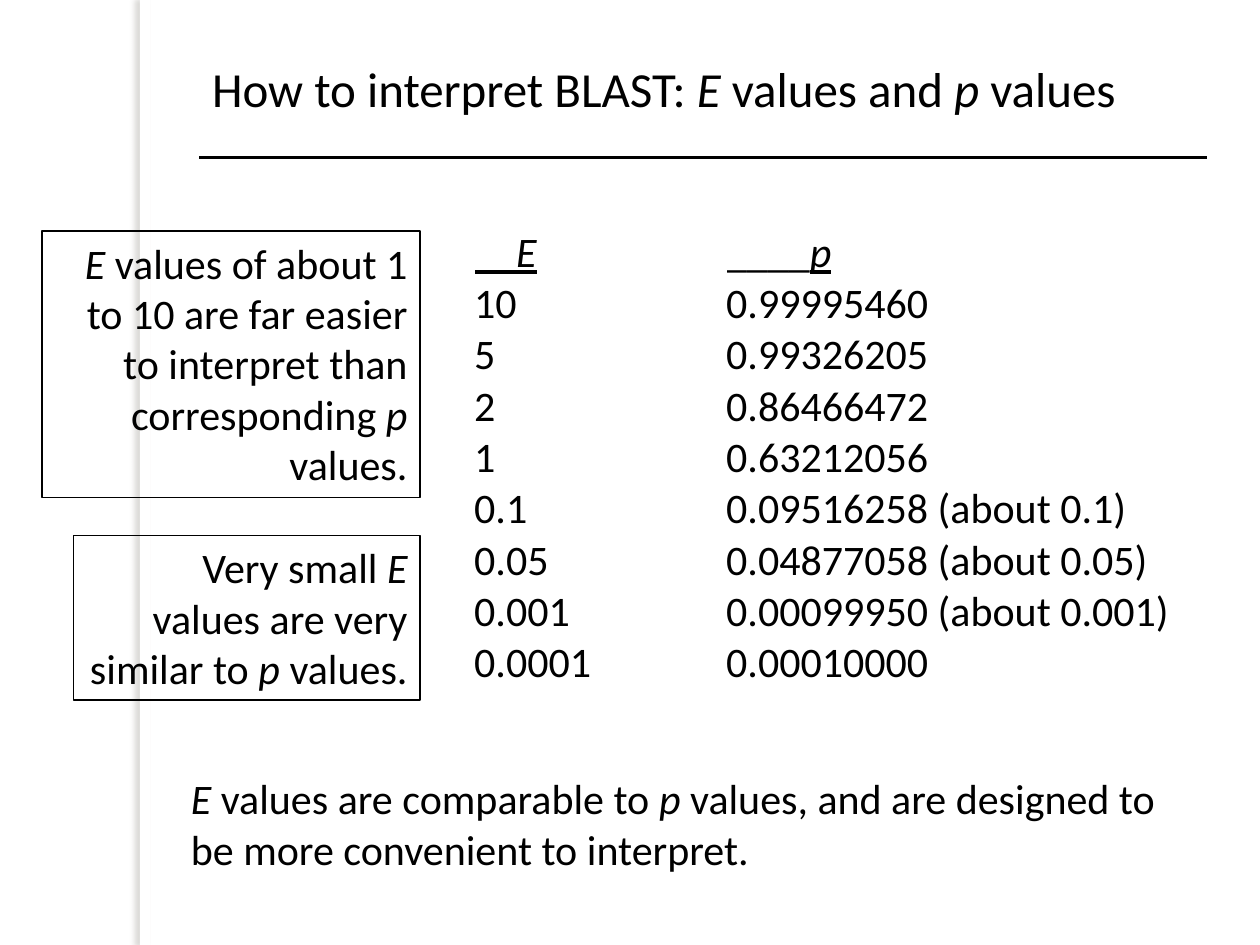
from lxml import etree
from pptx import Presentation
from pptx.dml.color import RGBColor
from pptx.enum.shapes import MSO_CONNECTOR, MSO_SHAPE
from pptx.enum.text import MSO_ANCHOR, PP_ALIGN
from pptx.oxml import parse_xml
from pptx.oxml.ns import nsdecls, qn
from pptx.util import Pt

LEFT, RIGHT = PP_ALIGN.LEFT, PP_ALIGN.RIGHT
TOP, MIDDLE = MSO_ANCHOR.TOP, MSO_ANCHOR.MIDDLE
RECTANGLE, STRAIGHT = MSO_SHAPE.RECTANGLE, MSO_CONNECTOR.STRAIGHT

FONT = "Calibri"
COLORS = {"ink": "000000", "paper": "FFFFFF", "shade": "736F63"}
TITLE_ONLY = 5
TITLE_SIZE, BODY_SIZE = 28, 24
ROW_HEIGHT = 28.8

E_AND_P = [
    ("10", "0.99995460"),
    ("5", "0.99326205"),
    ("2", "0.86466472"),
    ("1", "0.63212056"),
    ("0.1", "0.09516258 (about 0.1)"),
    ("0.05", "0.04877058 (about 0.05)"),
    ("0.001", "0.00099950 (about 0.001)"),
    ("0.0001", "0.00010000"),
]


def color(name):
    return RGBColor.from_string(COLORS[name])


def write(frame, text, size=BODY_SIZE, align=LEFT):
    """Write one paragraph; parts between asterisks are italic."""
    paragraph = frame.paragraphs[0]
    paragraph.alignment = align
    paragraph.font.name = FONT
    paragraph.font.size = Pt(size)
    paragraph.font.color.rgb = color("ink")
    for i, part in enumerate(text.split("*")):
        if part:
            run = paragraph.add_run()
            run.text = part
            if i % 2:
                run.font.italic = True
    return paragraph


def add_side_strip(slide, left, top, width, height):
    """White strip that casts a soft shadow to its left."""
    strip = slide.shapes.add_shape(RECTANGLE, Pt(left), Pt(top), Pt(width), Pt(height))
    strip.fill.solid()
    strip.fill.fore_color.rgb = color("paper")
    strip.line.fill.background()
    strip._element.spPr.append(parse_xml(
        f'<a:effectLst {nsdecls("a")}>'
        f'<a:outerShdw blurRad="{Pt(3)}" dist="{Pt(3)}" dir="10800000" rotWithShape="0">'
        f'<a:srgbClr val="{COLORS["shade"]}"><a:alpha val="25000"/></a:srgbClr>'
        '</a:outerShdw></a:effectLst>'))


def add_heading(slide, text, left, top, width, height):
    """Title with a rule below it."""
    title = slide.shapes.title
    title.left, title.top, title.width, title.height = map(Pt, (left, top, width, height))
    title.text_frame.word_wrap = False
    title.text_frame.vertical_anchor = MIDDLE
    write(title.text_frame, text, TITLE_SIZE)

    rule_top = top + 60
    rule = slide.shapes.add_connector(
        STRAIGHT, Pt(left), Pt(rule_top), Pt(left + 576), Pt(rule_top))
    rule.line.color.rgb = color("ink")
    rule.line.width = Pt(1.5)
    etree.SubElement(rule._element.spPr, qn("a:effectLst"))


def add_value_table(slide, left, top, widths):
    table = slide.shapes.add_table(
        len(E_AND_P) + 1, len(widths), Pt(left), Pt(top),
        Pt(sum(widths)), Pt(ROW_HEIGHT * (len(E_AND_P) + 1))).table
    table.first_row = table.horz_banding = False
    for column, width in zip(table.columns, widths):
        column.width = Pt(width)
    for row, values in enumerate([("*__E*", "____*p*"), *E_AND_P]):
        table.rows[row].height = Pt(ROW_HEIGHT)
        for column, value in enumerate(values):
            cell = table.cell(row, column)
            cell.fill.background()
            cell.margin_left = cell.margin_right = 0
            cell.margin_top = cell.margin_bottom = 0
            paragraph = write(cell.text_frame, value)
            if row == 0:
                paragraph.runs[-1].font.underline = True


def add_callout(slide, text, left, top, width, height):
    callout = slide.shapes.add_shape(RECTANGLE, Pt(left), Pt(top), Pt(width), Pt(height))
    callout.shadow.inherit = False
    callout.fill.background()
    callout.line.color.rgb = color("ink")
    callout.line.width = Pt(0.75)
    callout.text_frame.word_wrap = True
    callout.text_frame.vertical_anchor = TOP
    write(callout.text_frame, text, align=RIGHT)


def add_conclusion(slide, text, left, top, width, height):
    conclusion = slide.shapes.add_textbox(Pt(left), Pt(top), Pt(width), Pt(height))
    conclusion.text_frame.word_wrap = True
    write(conclusion.text_frame, text)


def main():
    deck = Presentation()
    deck.slide_width, deck.slide_height = Pt(720), Pt(540)
    slide = deck.slides.add_slide(deck.slide_layouts[TITLE_ONLY])

    add_side_strip(slide, 80, 0, 6, 540)
    add_heading(slide, "How to interpret BLAST: *E* values and *p* values",
                114, 30, 549, 41)
    add_value_table(slide, 271, 130, (144, 263))
    add_callout(slide, "Very small *E* values are very similar to *p* values.",
                42, 306, 198, 94)
    add_callout(slide, "*E* values of about 1 to 10 are far easier to interpret "
                       "than corresponding *p* values.", 24, 132, 216, 152.5)
    add_conclusion(slide, "*E* values are comparable to *p* values, and are designed "
                          "to be more convenient to interpret.", 102, 438, 588, 65.5)
    deck.save("out.pptx")


if __name__ == "__main__":
    main()
